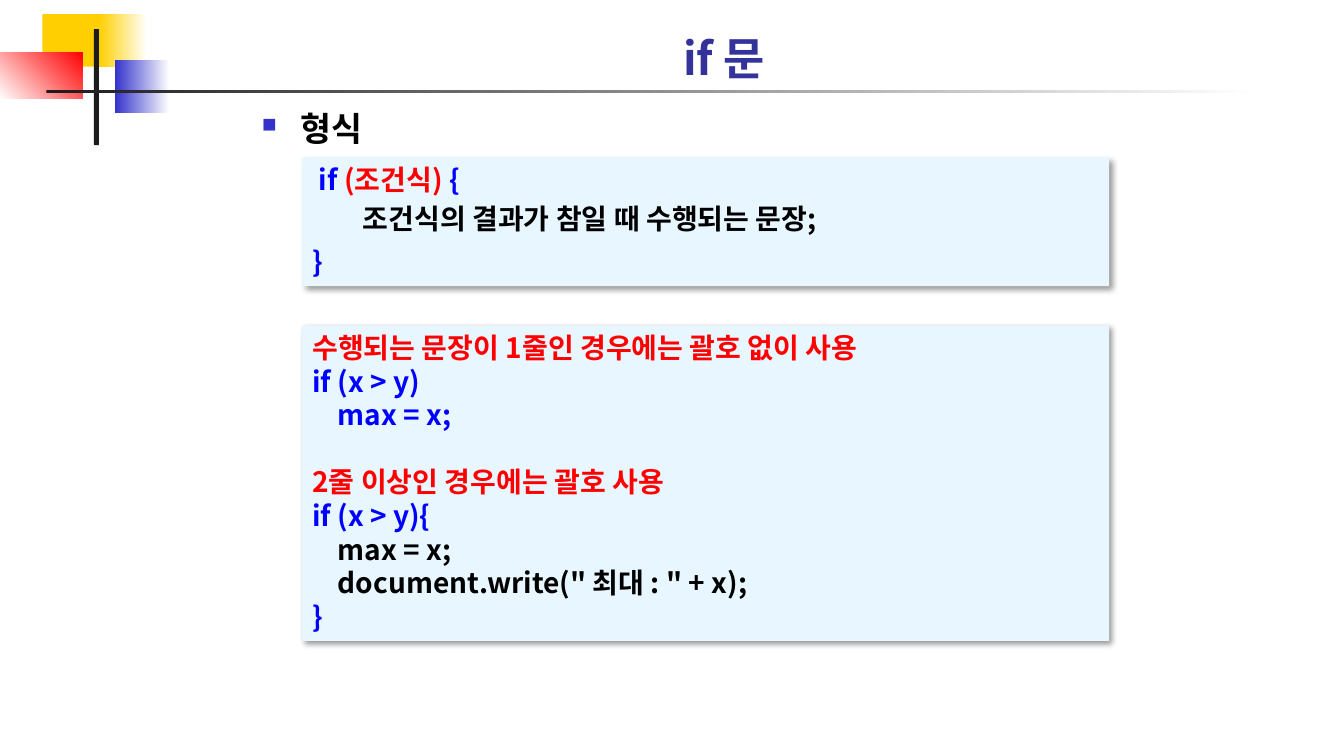
from dataclasses import dataclass

from lxml import etree
from pptx import Presentation
from pptx import util as u
from pptx.dml.color import RGBColor
from pptx.enum import shapes, text
from pptx.oxml.ns import qn


@dataclass(frozen=True)
class Theme:
    font: str = "Noto Sans CJK KR"
    title_size: int = 32
    heading_size: int = 24
    code_size: int = 20
    line_height: int = 24
    title: str = "333399"
    body: str = "000000"
    keyword: str = "0000FF"
    accent: str = "FF0000"
    panel: str = "E7F6FF"
    yellow: str = "FFCF01"
    blue: str = "3333CC"
    ink: str = "1C1C1C"
    paper: str = "FFFFFF"


THEME = Theme()


def rgb(color):
    return RGBColor.from_string(color)


def add_block(page, box, color, end=None, angle=0):
    """Rectangle in one colour, or fading from color to end."""
    block = page.shapes.add_shape(
        shapes.MSO_SHAPE.RECTANGLE, *(u.Inches(length) for length in box))
    block.shadow.inherit = False
    block.line.fill.background()
    if end is None:
        block.fill.solid()
        block.fill.fore_color.rgb = rgb(color)
    else:
        block.fill.gradient()
        block.fill.gradient_angle = angle
        for stop, shade in zip(block.fill.gradient_stops, (color, end)):
            stop.color.rgb = rgb(shade)
    return block


def add_text_box(page, box, anchor):
    label = page.shapes.add_textbox(*(u.Inches(length) for length in box))
    label.text_frame.word_wrap = True
    label.text_frame.vertical_anchor = anchor
    return label.text_frame


def add_span(para, words, *, size, color):
    span = para.add_run()
    span.text = words
    span.font.name = THEME.font
    span.font.size = u.Pt(size)
    span.font.bold = True
    span.font.color.rgb = rgb(color)
    properties = span.font._element
    etree.SubElement(properties, qn("a:ea"), typeface=THEME.font)


def add_bullet(para, color, percent, indent):
    properties = para._p.get_or_add_pPr()
    properties.set("marL", str(u.Inches(indent)))
    properties.set("indent", str(-u.Inches(indent)))
    shade = etree.SubElement(properties, qn("a:buClr"))
    etree.SubElement(shade, qn("a:srgbClr"), val=color)
    etree.SubElement(properties, qn("a:buSzPct"), val=str(percent * 1000))
    etree.SubElement(properties, qn("a:buChar"), char="■")


def add_soft_shadow(shape):
    effects = shape._element.spPr.find(qn("a:effectLst"))
    shadow = etree.SubElement(
        effects, qn("a:outerShdw"), blurRad=str(u.Pt(4)), dist=str(u.Pt(3)),
        dir=str(45 * 60000), algn="tl", rotWithShape="0")
    shade = etree.SubElement(shadow, qn("a:srgbClr"), val="000000")
    etree.SubElement(shade, qn("a:alpha"), val="40000")


def add_ornament(page):
    """Colour blocks and crossing bars in the top left corner."""
    add_block(page, (0.42, 0.14, 0.64, 0.52), THEME.yellow)
    add_block(page, (0.98, 0.14, 0.48, 0.52), THEME.yellow, THEME.paper)
    add_block(page, (1.14, 0.6, 0.54, 0.52), THEME.blue, THEME.paper)
    add_block(page, (0, 0.52, 0.82, 0.46), THEME.paper, THEME.accent, 45)
    add_block(page, (0.93, 0.29, 0.05, 1.15), THEME.ink)
    add_block(page, (0.46, 0.89, 12, 0.03), THEME.ink, THEME.paper)


def add_title(page, box, words):
    para = add_text_box(page, box, text.MSO_ANCHOR.BOTTOM).paragraphs[0]
    para.alignment = text.PP_ALIGN.CENTER
    add_span(para, words, size=THEME.title_size, color=THEME.title)


def add_heading(page, box, words):
    para = add_text_box(page, box, text.MSO_ANCHOR.TOP).paragraphs[0]
    add_bullet(para, THEME.blue, 60, 0.38)
    add_span(para, words, size=THEME.heading_size, color=THEME.body)


def add_code_panel(page, box, lines):
    """Each line is a list of (words, color) and its paragraph format."""
    panel = add_block(page, box, THEME.panel)
    add_soft_shadow(panel)
    frame = panel.text_frame
    frame.word_wrap = True
    frame.vertical_anchor = text.MSO_ANCHOR.TOP
    for index, (spans, layout) in enumerate(lines):
        para = frame.paragraphs[0] if index == 0 else frame.add_paragraph()
        para.alignment = text.PP_ALIGN.LEFT
        if "indent" in layout:
            para._p.get_or_add_pPr().set("marL", str(u.Inches(layout["indent"])))
        if "spacing" in layout:
            para.line_spacing = layout["spacing"]
        para.space_before = u.Pt(layout.get("before", 0))
        para.space_after = u.Pt(layout.get("after", 0))
        for words, color in spans:
            add_span(para, words, size=THEME.code_size, color=color)


def main():
    deck = Presentation()
    deck.slide_width, deck.slide_height = u.Inches(13.33), u.Inches(7.5)
    page = deck.slides.add_slide(deck.slide_layouts[6])
    add_ornament(page)
    add_title(page, (2.92, 0.31, 8.52, 0.58), "if 문")
    add_heading(page, (2.5, 1.02, 8.58, 0.83), "형식")

    airy = {"spacing": 1.1, "before": 2, "after": 2}
    add_code_panel(page, (3, 1.56, 8, 1.28), [
        ([(" if ", THEME.keyword), ("(조건식) ", THEME.accent),
          ("{", THEME.keyword)], {}),
        ([("조건식의 결과가 참일 때 수행되는 문장;", THEME.body)],
         {**airy, "indent": 0.5}),
        ([("}", THEME.keyword)], airy),
    ])
    add_code_panel(page, (3, 3.23, 8, 3.13), [
        ([("수행되는 문장이 1줄인 경우에는 괄호 없이 사용", THEME.accent)], {}),
        ([("if (x > y)", THEME.keyword)], {}),
        ([("    max = x;", THEME.keyword)], {}),
        ([("2줄 이상인 경우에는 괄호 사용", THEME.accent)],
         {"before": THEME.line_height}),
        ([("if (x > y){", THEME.keyword)], {}),
        ([("    max = x;", THEME.body)], {}),
        ([('    document.write(" 최대 : " + x);', THEME.body)], {}),
        ([("}", THEME.keyword)], {}),
    ])
    deck.save("out.pptx")


if __name__ == "__main__":
    main()
